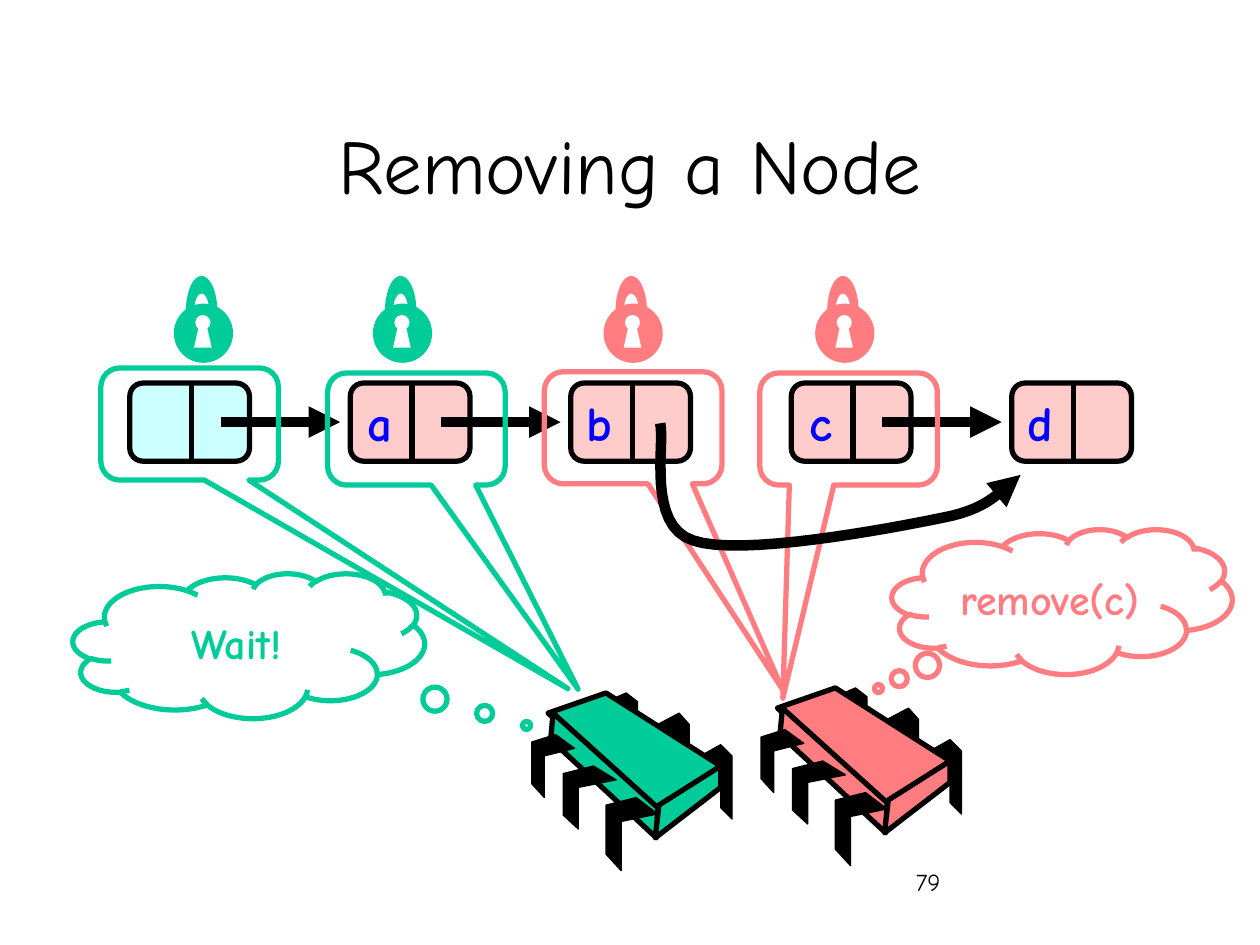
import math

import pptx
import pptx.dml.color
import pptx.enum.shapes
import pptx.enum.text
import pptx.oxml
import pptx.oxml.ns
import pptx.util

PX = 9144
SHAPE = pptx.enum.shapes.MSO_SHAPE
ALIGN = pptx.enum.text.PP_ALIGN
ANCHOR = pptx.enum.text.MSO_ANCHOR
BLACK, WHITE, BLUE, GREEN, RED = "000000", "FFFFFF", "0000FF", "00CC99", "FF7C80"
CYAN, PINK = "CCFFFF", "FFCCCC"

NODES = [("", CYAN, True), ("a", PINK, True), ("b", PINK, False), ("c", PINK, True), ("d", PINK, False)]
NODE_LEFT, NODE_STEP = 103, 175

CHIP_BACK_PINS = [
    [(556, 600), (572, 591), (581, 600), (581, 650), (572, 641), (572, 608), (556, 616)],
    [(522, 575), (539, 566), (547, 575), (547, 625), (539, 616), (539, 583), (522, 591)],
    [(481, 557), (497, 550), (506, 557), (506, 600), (497, 593), (497, 564), (481, 571)],
]
CHIP_FACES = [
    [(481, 550), (572, 608), (521, 643), (435, 566)],
    [(439, 566), (522, 641), (521, 665), (437, 587)],
    [(572, 608), (572, 625), (520, 665), (523, 639)],
]
CHIP_FRONT_PINS = [
    [(505, 633), (522, 646), (493, 652), (493, 691), (481, 678), (481, 639)],
    [(471, 608), (489, 619), (459, 625), (459, 658), (447, 647), (447, 614)],
    [(441, 583), (456, 594), (432, 600), (432, 633), (422, 622), (422, 589)],
]
CHIPS = [(0, 0, GREEN), (182, -4, RED)]

LOCKS = [(138, GREEN), (296, GREEN), (479, RED), (647, RED)]
LOCK_CALLOUTS = [
    (260, 296, 0.91, 2.32, GREEN),
    (80, 292, 2.13, 2.36, GREEN),
    (432, 295, 0.84, 2.33, RED),
    (603, 296, -0.37, 2.4, RED),
]
THOUGHTS = [
    ("Wait!", (58, 455, 279, 115), (0.79, 0.55), GREEN),
    ("remove(c)", (708, 420, 270, 115), (-0.54, 0.6), RED),
]
BYPASS_CURVES = [
    [(524, 336), (528, 352), (513, 417), (550, 429)],
    [(550, 429), (587, 442), (704, 420), (748, 411)],
    [(748, 411), (791, 403), (797, 384), (810, 377)],
]


def paint(fmt, color):
    fmt.rgb = pptx.dml.color.RGBColor.from_string(color)


def bezier(points, steps=16):
    for step in range(steps + 1):
        t = step / steps
        weights = ((1 - t) ** 3, 3 * t * (1 - t) ** 2, 3 * t * t * (1 - t), t ** 3)
        yield tuple(sum(w * p[axis] for w, p in zip(weights, points)) for axis in (0, 1))


def half_ellipse(cx, cy, rx, ry, steps=24):
    angles = [math.pi * step / steps for step in range(steps + 1)]
    return [(cx - rx * math.cos(a), cy - ry * math.sin(a)) for a in angles]


class Sketch:
    """Draws styled elements on the current slide, measured in px."""

    def __init__(self, slide, font="Comic Neue"):
        self.shapes = slide.shapes
        self.font = font

    def outline(self, line, color, width, arrow=False):
        line.width = pptx.util.Pt(width)
        paint(line.color, color)
        if arrow:
            head = pptx.oxml.parse_xml(f'<a:tailEnd {pptx.oxml.ns.nsdecls("a")} type="triangle"/>')
            line._get_or_add_ln().append(head)

    def finish(self, part, fill, line, width, arrow=False):
        part.shadow.inherit = False
        if fill:
            part.fill.solid()
            paint(part.fill.fore_color, fill)
        else:
            part.fill.background()
        if line:
            self.outline(part.line, line, width, arrow)
        else:
            part.line.fill.background()
        return part

    def preset(self, kind, box, fill=None, line=None, width=3, adjust=()):
        part = self.shapes.add_shape(kind, *(PX * v for v in box))
        for index, value in enumerate(adjust):
            part.adjustments[index] = value
        return self.finish(part, fill, line, width)

    def freeform(self, points, fill=None, line=None, width=3, closed=True, arrow=False):
        start, *rest = [(round(PX * x), round(PX * y)) for x, y in points]
        builder = self.shapes.build_freeform(*start, scale=1.0)
        builder.add_line_segments(rest, close=closed)
        return self.finish(builder.convert_to_shape(), fill, line, width, arrow)

    def line(self, start, end, width, arrow=False):
        straight = pptx.enum.shapes.MSO_CONNECTOR.STRAIGHT
        link = self.shapes.add_connector(straight, *(PX * v for v in (*start, *end)))
        self.outline(link.line, BLACK, width, arrow)
        link._element.spPr.append(pptx.oxml.parse_xml(f'<a:effectLst {pptx.oxml.ns.nsdecls("a")}/>'))

    def caption(self, frame, words, size, color, align, bold=False, anchor=ANCHOR.MIDDLE, wrap=True):
        paragraph = frame.paragraphs[0]
        run = paragraph.add_run()
        run.text = words
        formats = {
            frame: {"word_wrap": wrap, "vertical_anchor": anchor},
            paragraph: {"alignment": align},
            run.font: {"name": self.font, "size": pptx.util.Pt(size), "bold": bold},
        }
        for target, values in formats.items():
            for name, value in values.items():
                setattr(target, name, value)
        paint(run.font.color, color)

    def text(self, box, *args, **kwargs):
        self.caption(self.shapes.add_textbox(*(PX * v for v in box)).text_frame, *args, **kwargs)

    def node(self, left, label, fill, linked):
        self.preset(SHAPE.ROUNDED_RECTANGLE, (left, 304, 95, 62), fill, BLACK, adjust=[0.17])
        self.line((left + 49, 303), (left + 49, 367), 3)
        if label:
            self.text((left, 307, 43, 57), label, 28, BLUE, ALIGN.RIGHT, bold=True,
                      anchor=ANCHOR.TOP, wrap=False)
        if linked:
            self.line((left + 72, 335), (left + 167, 335), 6, arrow=True)

    def chip(self, dx, dy, color):
        layers = [(CHIP_BACK_PINS, BLACK, 0.75), (CHIP_FACES, color, 3), (CHIP_FRONT_PINS, BLACK, 0.75)]
        for polygons, fill, width in layers:
            for polygon in polygons:
                self.freeform([(x + dx, y + dy) for x, y in polygon], fill, BLACK, width)

    def lock(self, left, color):
        self.preset(SHAPE.OVAL, (left, 241, 47, 47), color)
        self.preset(SHAPE.OVAL, (left + 17, 250, 12, 12), WHITE)
        keyhole = [(16, 276), (20, 258), (26, 258), (30, 276)]
        self.freeform([(left + x, y) for x, y in keyhole], WHITE)
        center = left + 22
        shackle = half_ellipse(center, 247, 12.5, 28) + half_ellipse(center, 247, 6, 14)[::-1]
        self.freeform(shackle, color)


def main():
    deck = pptx.Presentation()
    deck.slide_width, deck.slide_height = 1000 * PX, 750 * PX
    sketch = Sketch(deck.slides.add_slide(deck.slide_layouts[6]))

    sketch.text((717, 683, 208, 50), "79", 14, BLACK, ALIGN.LEFT, anchor=ANCHOR.TOP)
    sketch.text((75, 67, 850, 125), "Removing a Node", 44, BLACK, ALIGN.CENTER)
    for index, node in enumerate(NODES):
        sketch.node(NODE_LEFT + index * NODE_STEP, *node)
    for chip in CHIPS:
        sketch.chip(*chip)
    for left, top, tip_x, tip_y, color in LOCK_CALLOUTS:
        sketch.preset(SHAPE.ROUNDED_RECTANGULAR_CALLOUT, (left, top, 141, 89), line=color,
                      adjust=[tip_x, tip_y, 0.17])
    for words, box, tip, color in THOUGHTS:
        cloud = sketch.preset(SHAPE.CLOUD_CALLOUT, box, line=color, adjust=tip)
        sketch.caption(cloud.text_frame, words, 24, color, ALIGN.CENTER, bold=True)
    for lock in LOCKS:
        sketch.lock(*lock)
    bypass = [point for curve in BYPASS_CURVES for point in bezier(curve)]
    sketch.freeform(bypass, line=BLACK, width=6, closed=False, arrow=True)
    deck.save("out.pptx")


if __name__ == "__main__":
    main()
